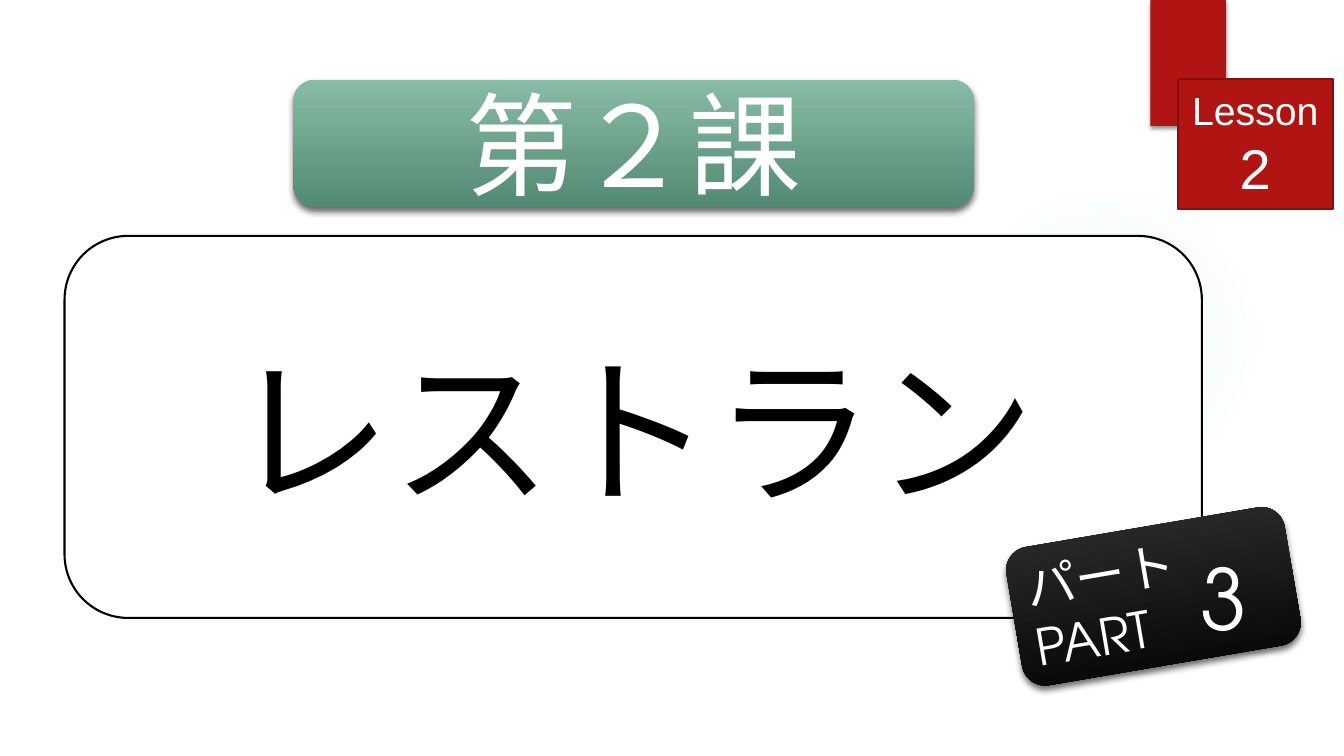
from lxml import etree
from pptx import Presentation
from pptx.dml.color import RGBColor
from pptx.enum.shapes import MSO_SHAPE
from pptx.enum.text import MSO_ANCHOR, PP_ALIGN
from pptx.oxml.ns import qn
from pptx.util import Inches, Pt

RECTANGLE = MSO_SHAPE.RECTANGLE
ROUNDED = MSO_SHAPE.ROUNDED_RECTANGLE
ELLIPSE = MSO_SHAPE.OVAL
MIDDLE = MSO_ANCHOR.MIDDLE
LEFT, CENTER = PP_ALIGN.LEFT, PP_ALIGN.CENTER

COLORS = {
    "white": "FFFFFF", "black": "000000", "red": "B01513", "dark_red": "800F0D",
    "light_green": "89BCA6", "green": "528A73", "charcoal": "313131", "aqua": "4CB9C3",
}
SANS, GEOMETRIC = "Arial", "TeX Gyre Adventor"


class LessonSlide:
    def __init__(self, presentation):
        self.slide = presentation.slides.add_slide(presentation.slide_layouts[6])

    def shape(self, kind, box, fill=None, line=None, rotation=0):
        shape = self.slide.shapes.add_shape(kind, *map(Inches, box))
        shape.rotation = rotation
        shape.shadow.inherit = False
        if fill:
            shape.fill.solid()
            shape.fill.fore_color.rgb = RGBColor.from_string(COLORS[fill])
        else:
            shape.fill.background()
        if line:
            shape.line.color.rgb = RGBColor.from_string(COLORS[line])
            shape.line.width = Pt(1.5)
        else:
            shape.line.fill.background()
        return shape

    def color(self, parent, name, opacity):
        element = etree.SubElement(parent, qn("a:srgbClr"), val=COLORS[name])
        if opacity < 100:
            etree.SubElement(element, qn("a:alpha"), val=str(opacity * 1000))

    def gradient(self, shape, stops, radial=False):
        """Each stop is (position, color, opacity), in percent."""
        properties = shape.element.spPr
        fill = etree.Element(qn("a:gradFill"), rotWithShape="1")
        stop_list = etree.SubElement(fill, qn("a:gsLst"))
        for position, name, opacity in stops:
            stop = etree.SubElement(stop_list, qn("a:gs"), pos=str(position * 1000))
            self.color(stop, name, opacity)
        if radial:
            center = etree.SubElement(fill, qn("a:path"), path="circle")
            sides = dict.fromkeys("ltrb", "50000")
            etree.SubElement(center, qn("a:fillToRect"), **sides)
        else:
            etree.SubElement(fill, qn("a:lin"), ang="5400000", scaled="0")
        properties.replace(properties.find(qn("a:noFill")), fill)

    def shadow(self, shape, opacity, blur, distance):
        effects = shape.element.spPr.find(qn("a:effectLst"))
        outer = etree.SubElement(
            effects, qn("a:outerShdw"), blurRad=str(Pt(blur)), dist=str(Pt(distance)),
            dir="5400000", algn="ctr", rotWithShape="0")
        self.color(outer, "black", opacity)

    def text(self, shape, paragraphs, font, color="white", align=CENTER):
        """Each paragraph is a list of (text, size) runs."""
        frame = shape.text_frame
        frame.word_wrap = True
        frame.vertical_anchor = MIDDLE
        for index, runs in enumerate(paragraphs):
            paragraph = frame.add_paragraph() if index else frame.paragraphs[0]
            paragraph.alignment = align
            for content, size in runs:
                run = paragraph.add_run()
                run.text = content
                for key, value in {"name": font, "size": Pt(size)}.items():
                    setattr(run.font, key, value)
                run.font.color.rgb = RGBColor.from_string(COLORS[color])


def main():
    presentation = Presentation()
    presentation.slide_width = Inches(13.33)
    presentation.slide_height = Inches(7.5)
    page = LessonSlide(presentation)

    # Background glow and ribbon
    glow = page.shape(ELLIPSE, (9.41, 1.83, 3.08, 3.08))
    page.gradient(glow, [(0, "aqua", 6), (36, "aqua", 5), (69, "aqua", 0),
                         (100, "aqua", 0)], radial=True)
    ribbon = page.shape(RECTANGLE, (11.41, 0, 0.75, 1.25), "red")
    page.shadow(ribbon, 44, 3, 2)

    # Lesson heading
    heading = page.shape(ROUNDED, (2.91, 0.79, 6.75, 1.26))
    page.gradient(heading, [(0, "light_green", 100), (100, "green", 100)])
    page.shadow(heading, 60, 5, 3)
    page.text(heading, [[("第２課", 80)]], SANS)

    # Title panel
    title = page.shape(ROUNDED, (0.64, 2.34, 11.28, 3.79), "white", "black")
    page.text(title, [[("レストラン", 115)]], SANS, "black")

    # Part label and number
    part = page.shape(ROUNDED, (10.04, 5.22, 2.8, 1.39), rotation=350.3)
    page.gradient(part, [(0, "charcoal", 100), (100, "black", 100)])
    page.shadow(part, 60, 5, 3)
    page.text(part, [[("パート", 36)], [("PART", 36)]], GEOMETRIC, align=LEFT)
    number = page.shape(ROUNDED, (11.68, 5.46, 0.92, 0.92))
    page.text(number, [[("3", 60)]], GEOMETRIC)

    # Lesson badge
    badge = page.shape(RECTANGLE, (11.68, 0.78, 1.54, 1.29), "red", "dark_red")
    page.text(badge, [[("Lesson ", 28), ("2", 40)]], SANS)

    presentation.save("out.pptx")


if __name__ == "__main__":
    main()
